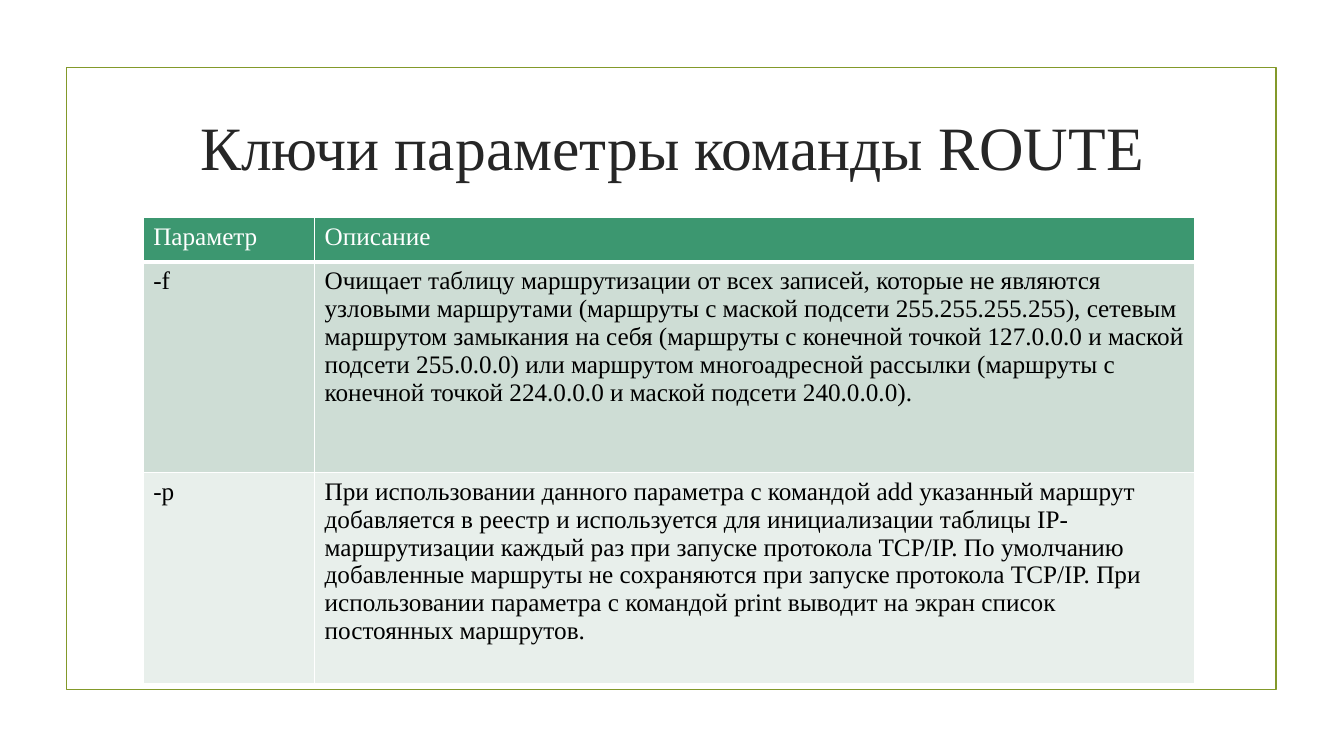
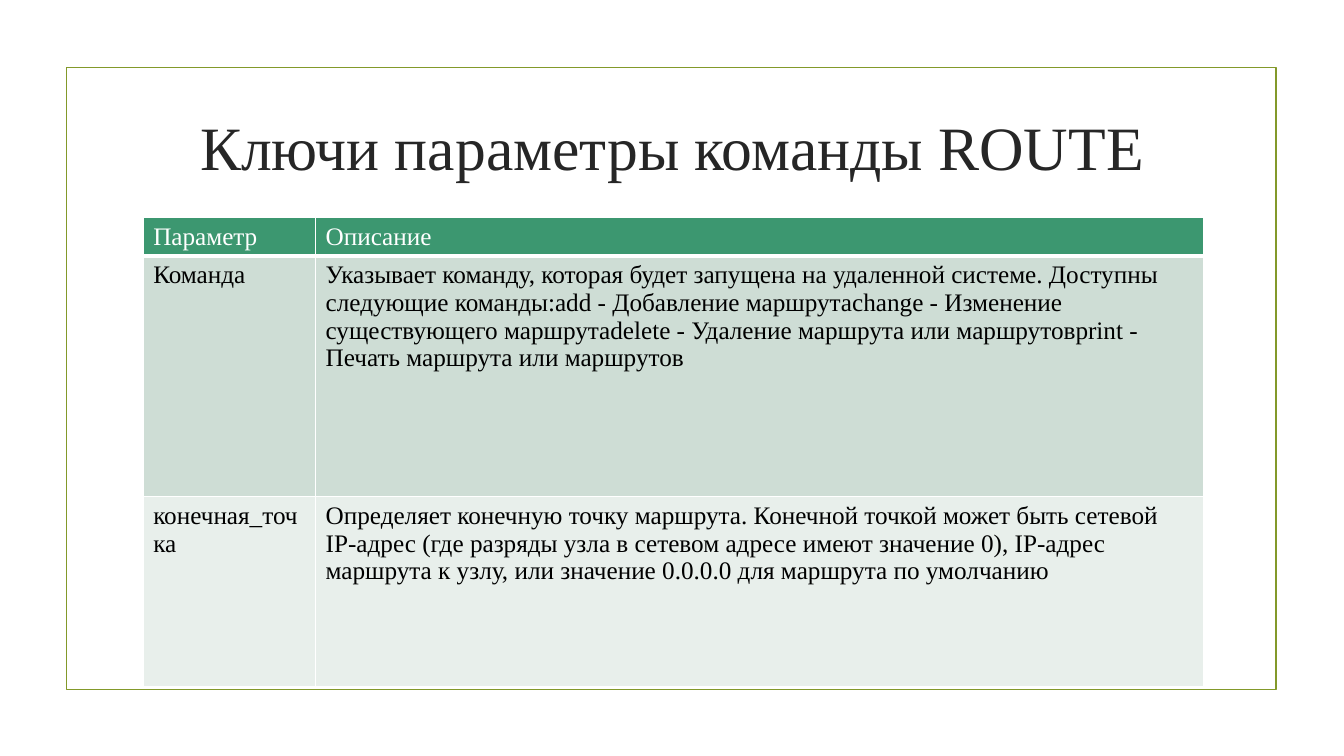
from lxml.etree import SubElement
from pptx import Presentation
from pptx.dml.color import RGBColor
from pptx.enum.shapes import MSO_CONNECTOR as Link, MSO_SHAPE as Shape
from pptx.enum.text import MSO_ANCHOR as Anchor, PP_ALIGN as Align
from pptx.oxml.ns import qn
from pptx.util import Inches, Pt

COLORS = {
    "line": "83992A",
    "title": "262626",
    "head": "3C9770",
    "odd": "CEDDD5",
    "even": "E8EFEB",
    "white": "FFFFFF",
    "black": "000000",
}
FONT = "Times New Roman"
TITLE = "Ключи параметры команды ROUTE"
HEAD = ("Параметр", "Описание")
LEFT, TOP = 1.42, 2.16

TABLES = [
    {
        "cols": (1.7, 8.73),
        "rows": (0.44, 2.09, 2.09),
        "data": [
            ("-f", "Очищает таблицу маршрутизации от всех записей, которые не являются "
                   "узловыми маршрутами (маршруты с маской подсети 255.255.255.255), "
                   "сетевым маршрутом замыкания на себя (маршруты с конечной точкой "
                   "127.0.0.0 и маской подсети 255.0.0.0) или маршрутом многоадресной "
                   "рассылки (маршруты с конечной точкой 224.0.0.0 и маской подсети "
                   "240.0.0.0)."),
            ("-p", "При использовании данного параметра с командой add указанный маршрут "
                   "добавляется в реестр и используется для инициализации таблицы "
                   "IP-маршрутизации каждый раз при запуске протокола TCP/IP. По умолчанию "
                   "добавленные маршруты не сохраняются при запуске протокола TCP/IP. При "
                   "использовании параметра с командой print выводит на экран список "
                   "постоянных маршрутов."),
        ],
    },
    {
        "cols": (1.71, 8.81),
        "rows": (0.37, 2.39, 1.88),
        "data": [
            ("Команда", "Указывает команду, которая будет запущена на удаленной системе. "
                        "Доступны следующие команды:add - Добавление маршрутаchange - "
                        "Изменение существующего маршрутаdelete - Удаление маршрута или "
                        "маршрутовprint - Печать маршрута или маршрутов"),
            ("конечная_точка", "Определяет конечную точку маршрута. Конечной точкой может "
                               "быть сетевой IP-адрес (где разряды узла в сетевом адресе "
                               "имеют значение 0), IP-адрес маршрута к узлу, или значение "
                               "0.0.0.0 для маршрута по умолчанию"),
        ],
    },
]


def color(name):
    """Return the named colour."""
    return RGBColor.from_string(COLORS[name])


def write(frame, text, size=18, ink="black", align=Align.LEFT):
    """Put formatted text into a text frame."""
    frame.word_wrap = True
    par = frame.paragraphs[0]
    par.alignment = align
    run = par.add_run()
    run.text = text
    run.font.name = FONT
    run.font.size = Pt(size)
    run.font.color.rgb = color(ink)


def stroke(item):
    """Give an outline the shared line style."""
    item.line.color.rgb = color("line")
    item.line.width = Pt(1.25)


def dress(layout, slide):
    """Move the shared frame and rule onto the layout."""
    frame = slide.shapes.add_shape(
        Shape.RECTANGLE, Inches(0.66), Inches(0.67), Inches(12), Inches(6.17))
    frame.shadow.inherit = False
    frame.fill.background()
    rule = slide.shapes.add_connector(
        Link.STRAIGHT, Inches(1.53), Inches(2.65), Inches(11.81), Inches(2.65))
    for num, item in enumerate((frame, rule), 20):
        stroke(item)
        item.element.xpath(".//p:cNvPr")[0].set("id", str(num))
        layout.shapes.element.append(item.element)
    SubElement(rule.element.spPr, qn("a:effectLst"))


def place(layout):
    """Set the title area on the layout."""
    title = layout.placeholders[0]
    title.left, title.top = Inches(LEFT), Inches(0.73)
    title.width, title.height = Inches(10.5), Inches(1.43)
    title.text_frame.vertical_anchor = Anchor.MIDDLE


def border(cell, base=1):
    """Draw white borders, the bottom one of the given width."""
    props = cell._tc.get_or_add_tcPr()
    sides = {"lnL": 1, "lnR": 1, "lnT": 1, "lnB": base}
    for spot, (tag, width) in enumerate(sides.items()):
        edge = SubElement(props, qn(f"a:{tag}"), w=str(Pt(width)))
        fill = SubElement(edge, qn("a:solidFill"))
        SubElement(fill, qn("a:srgbClr"), val=COLORS["white"])
        props.insert(spot, edge)


def grid(slide, cols, rows, data):
    """Add a table with a header and banded rows."""
    table = slide.shapes.add_table(
        len(rows), len(cols), Inches(LEFT), Inches(TOP),
        Inches(sum(cols)), Inches(sum(rows))).table
    for col, width in zip(table.columns, cols):
        col.width = Inches(width)
    bands = ("head", "odd", "even")
    for row, high, band, texts in zip(table.rows, rows, bands, [HEAD, *data]):
        row.height = Inches(high)
        top = band == "head"
        for cell, text in zip(row.cells, texts):
            cell.fill.solid()
            cell.fill.fore_color.rgb = color(band)
            border(cell, base=3 if top else 1)
            write(cell.text_frame, text, ink="white" if top else "black")


def main():
    """Build and save the slides."""
    deck = Presentation()
    deck.slide_width, deck.slide_height = Inches(13.33), Inches(7.5)
    layout = deck.slide_layouts[5]
    place(layout)
    for spot, table in enumerate(TABLES):
        slide = deck.slides.add_slide(layout)
        if spot == 0:
            dress(layout, slide)
        write(slide.shapes.title.text_frame, TITLE,
              size=44, ink="title", align=Align.CENTER)
        grid(slide, **table)
    deck.save("out.pptx")


if __name__ == "__main__":
    main()
